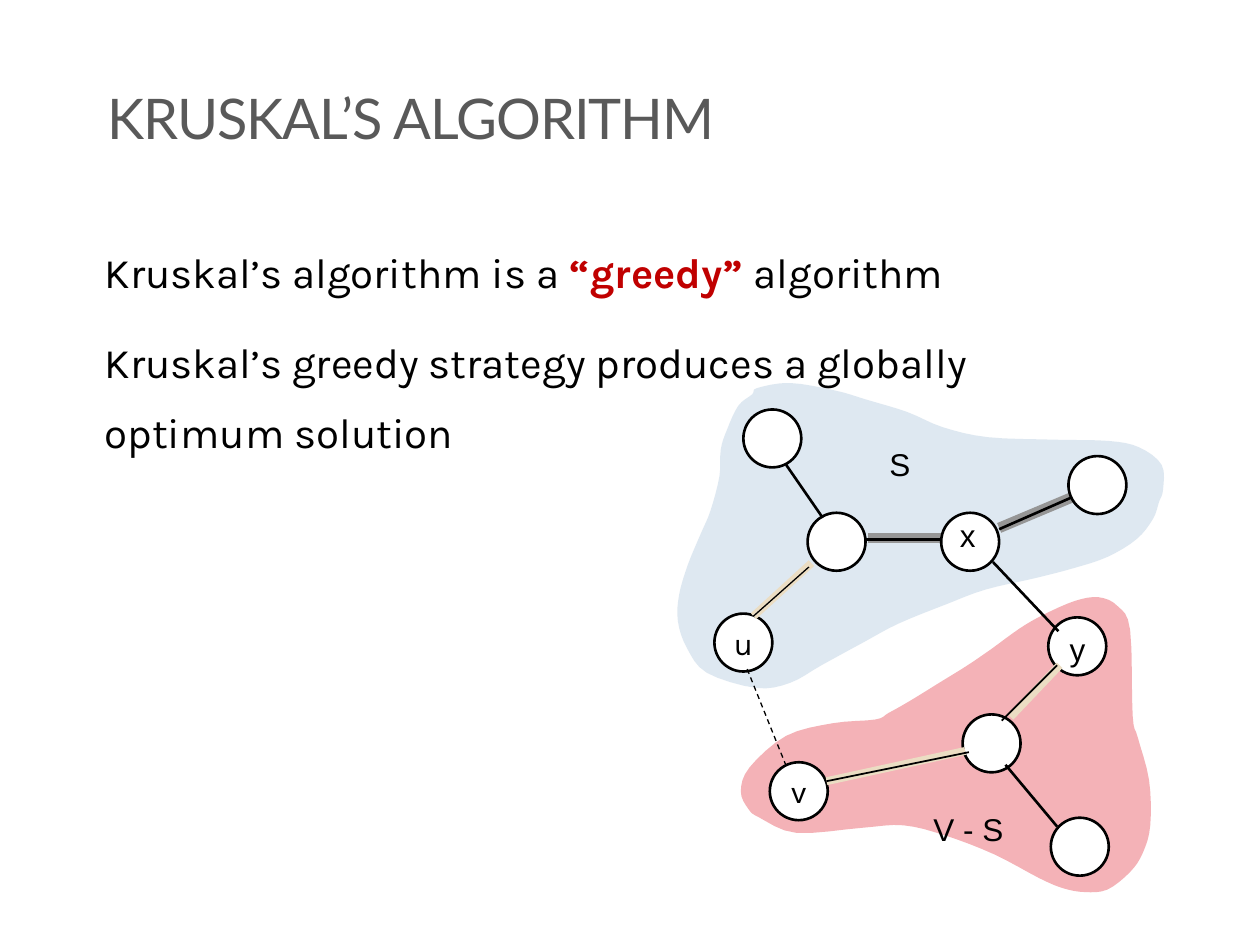
import pptx
import pptx.dml.color
import pptx.enum.dml
import pptx.enum.shapes
import pptx.enum.text
import pptx.oxml
import pptx.oxml.ns
import pptx.util
from pptx.util import Inches

RGBColor = pptx.dml.color.RGBColor
BLACK = RGBColor(0x00, 0x00, 0x00)
WHITE = RGBColor(0xFF, 0xFF, 0xFF)
TITLE_GRAY = RGBColor(0x59, 0x59, 0x59)
GREEDY_RED = RGBColor(0xC0, 0x00, 0x00)
SET_BLUE = RGBColor(0x94, 0xB6, 0xD2)
SET_RED = RGBColor(0xDD, 0x01, 0x11)
HALO_GRAY = RGBColor(0x96, 0x96, 0x96)
HALO_TAN = RGBColor(0xEB, 0xDD, 0xC3)

NODE_SIZE = 0.46
ALIGN = pptx.enum.text.PP_ALIGN
ANCHOR = pptx.enum.text.MSO_ANCHOR
AUTO_SIZE = pptx.enum.text.MSO_AUTO_SIZE

# All graph coordinates are inches from the corner of the graph's box.
REST_OUTLINE = [
    (1.95, 2.71), (1.61, 2.74), (1.24, 2.84), (0.95, 3.09), (0.88, 3.28),
    (0.94, 3.42), (1.03, 3.49), (1.32, 3.61), (1.84, 3.57), (2.17, 3.55),
    (2.5, 3.63), (2.89, 3.78), (3.25, 3.97), (3.44, 4.05), (3.61, 4.08),
    (3.79, 4.06), (3.97, 3.92), (4.07, 3.77), (4.13, 3.55), (4.12, 3.19),
    (4.03, 2.85), (3.99, 2.68), (3.97, 2), (3.87, 1.81), (3.72, 1.74),
    (3.53, 1.77), (3.28, 1.88), (3.09, 1.99), (2.87, 2.15), (2.68, 2.28),
    (2.47, 2.41), (2.21, 2.57), (2.05, 2.66),
]
S_OUTLINE = [
    (0.97, 0.13), (0.86, 0.22), (0.77, 0.41), (0.72, 0.57), (0.71, 0.78),
    (0.64, 1.05), (0.56, 1.24), (0.46, 1.48), (0.39, 1.72), (0.38, 1.93),
    (0.45, 2.14), (0.61, 2.34), (1, 2.46), (1.27, 2.42), (1.52, 2.28),
    (1.85, 2.1), (2.13, 1.95), (2.5, 1.8), (2.82, 1.68), (3.21, 1.59),
    (3.52, 1.51), (3.79, 1.42), (4.02, 1.28), (4.15, 1.12), (4.2, 0.98),
    (4.23, 0.89), (4.22, 0.69), (4.04, 0.55), (3.8, 0.5), (3.38, 0.49),
    (2.84, 0.47), (2.48, 0.39), (2.2, 0.27), (1.87, 0.17), (1.63, 0.1),
    (1.27, 0.04), (1.01, 0.08),
]
NODES = [
    (0.9, 0.25, ""), (1.41, 1.07, ""), (2.47, 1.07, ""), (3.48, 0.62, ""),
    (0.67, 1.87, "u"), (3.32, 1.9, ""), (2.64, 2.67, ""), (1.11, 3.05, "v"),
    (3.34, 3.49, ""),
]
# Each edge: start, end, colour, width in points.
HALO_EDGES = [
    ((1.89, 1.27), (2.47, 1.27), HALO_GRAY, 6),
    ((2.93, 1.19), (3.5, 0.95), HALO_GRAY, 6),
]
EDGES = [
    ((1.87, 1.28), (2.47, 1.28), BLACK, 1.5),
    ((1.24, 0.69), (1.53, 1.11), BLACK, 1.5),
    ((2.93, 1.2), (3.5, 0.95), BLACK, 1.5),
    ((2.88, 1.46), (3.4, 2.01), BLACK, 1.5),
    ((2.98, 3.07), (3.39, 3.56), BLACK, 1.5),
    ((1.56, 3.2), (2.66, 2.96), HALO_TAN, 4.5),
    ((3.02, 2.69), (3.41, 2.28), HALO_TAN, 4.5),
    ((1.44, 1.47), (0.98, 1.89), HALO_TAN, 4.5),
    ((0.98, 1.89), (1.42, 1.5), BLACK, 0.75),
    ((1.56, 3.2), (2.69, 2.97), BLACK, 1),
    ((3.39, 2.28), (2.95, 2.72), BLACK, 1),
]
LABELS = [
    (1.96, 0.48, 0.37, "S"), (2.31, 3.38, 0.76, "V - S"),
    (2.52, 1.05, 0.33, "x"), (3.39, 1.95, 0.33, "y"),
]


def style_font(font, name, size, color):
    font.name = name
    font.size = pptx.util.Pt(size)
    font.color.rgb = color


def place(shape, left, top, width, height):
    shape.left, shape.top = left, top
    shape.width, shape.height = width, height


def add_title(slide, left, top, width, height):
    title = slide.shapes.title
    place(title, left, top, width, height)
    text_frame = title.text_frame
    text_frame.text = "KRUSKAL’S ALGORITHM"
    text_frame.vertical_anchor = ANCHOR.BOTTOM
    text_frame.auto_size = AUTO_SIZE.NONE
    paragraph = text_frame.paragraphs[0]
    paragraph.alignment = ALIGN.LEFT
    run = paragraph.runs[0]
    style_font(run.font, "Lato", 32, TITLE_GRAY)
    run.font._element.set("spc", "-60")


def add_body(slide, left, top, width, height):
    body = slide.placeholders[1]
    place(body, left, top, width, height)
    text_frame = body.text_frame
    text_frame.auto_size = AUTO_SIZE.NONE
    statements = [
        ["Kruskal’s algorithm is a ", "“greedy” ", "algorithm"],
        ["Kruskal’s greedy strategy produces a globally optimum solution"],
    ]
    for index, parts in enumerate(statements):
        paragraph = text_frame.add_paragraph() if index else text_frame.paragraphs[0]
        properties = paragraph._p.get_or_add_pPr()
        properties.set("marL", "0")
        properties.set("indent", "0")
        properties.append(pptx.oxml.parse_xml(
            f"<a:buNone {pptx.oxml.ns.nsdecls('a')}/>"))
        paragraph.line_spacing = 1.4
        paragraph.space_before = pptx.util.Pt(4.8 if index else 0)
        paragraph.space_after = pptx.util.Pt(6)
        for part in parts:
            run = paragraph.add_run()
            run.text = part
            greedy = part.startswith("“")
            style_font(run.font, "Karla", 24, GREEDY_RED if greedy else BLACK)
            run.font.bold = greedy


def smooth_outline(points, steps=4):
    """Return points of a closed Catmull-Rom curve through the given points."""
    curve = []
    for index in range(len(points)):
        corners = [points[(index + shift) % len(points)] for shift in (-1, 0, 1, 2)]
        for step in range(steps):
            t = step / steps
            curve.append(tuple(
                b + 0.5 * t * (c - a + t * (2 * a - 5 * b + 4 * c - d
                                            + t * (3 * (b - c) + d - a)))
                for a, b, c, d in zip(*corners)))
    return curve


def add_region(slide, left, top, outline, color):
    points = [(left + Inches(x), top + Inches(y)) for x, y in smooth_outline(outline)]
    builder = slide.shapes.build_freeform(*points[0])
    builder.add_line_segments(points[1:], close=True)
    region = builder.convert_to_shape()
    region.shadow.inherit = False
    region.fill.solid()
    region.fill.fore_color.rgb = color
    region.line.fill.background()
    color_element = region._element.spPr.find(".//" + pptx.oxml.ns.qn("a:srgbClr"))
    color_element.append(pptx.oxml.parse_xml(
        f'<a:alpha {pptx.oxml.ns.nsdecls("a")} val="30000"/>'))


def add_node(slide, left, top, name):
    node = slide.shapes.add_shape(pptx.enum.shapes.MSO_SHAPE.OVAL, left, top,
                                  Inches(NODE_SIZE), Inches(NODE_SIZE))
    node.shadow.inherit = False
    node.fill.solid()
    node.fill.fore_color.rgb = WHITE
    node.line.color.rgb = BLACK
    node.line.width = pptx.util.Pt(1.5)
    if name:
        text_frame = node.text_frame
        text_frame.text = name
        text_frame.word_wrap = False
        text_frame.vertical_anchor = ANCHOR.MIDDLE
        text_frame.paragraphs[0].alignment = ALIGN.CENTER
        style_font(text_frame.paragraphs[0].runs[0].font, "Karla", 18, BLACK)


def add_edge(slide, left, top, start, end, color, width, dash=None):
    edge = slide.shapes.add_connector(
        pptx.enum.shapes.MSO_CONNECTOR.STRAIGHT,
        left + Inches(start[0]), top + Inches(start[1]),
        left + Inches(end[0]), top + Inches(end[1]))
    edge.line.color.rgb = color
    edge.line.width = pptx.util.Pt(width)
    if dash:
        edge.line.dash_style = dash
    edge._element.spPr.append(pptx.oxml.parse_xml(
        f"<a:effectLst {pptx.oxml.ns.nsdecls('a')}/>"))


def add_label(slide, left, top, width, text):
    text_frame = slide.shapes.add_textbox(left, top, width, Inches(0.4)).text_frame
    text_frame.text = text
    text_frame.word_wrap = False
    text_frame.auto_size = AUTO_SIZE.SHAPE_TO_FIT_TEXT
    style_font(text_frame.paragraphs[0].runs[0].font, "Arial", 18, BLACK)


def add_graph(slide, left, top):
    add_region(slide, left, top, REST_OUTLINE, SET_RED)
    add_region(slide, left, top, S_OUTLINE, SET_BLUE)
    for edge in HALO_EDGES:
        add_edge(slide, left, top, *edge)
    for x, y, name in NODES:
        add_node(slide, left + Inches(x), top + Inches(y), name)
    for edge in EDGES:
        add_edge(slide, left, top, *edge)
    add_edge(slide, left, top, (0.93, 2.31), (1.24, 3.08), BLACK, 0.75,
             pptx.enum.dml.MSO_LINE.DASH)
    for x, y, width, text in LABELS:
        add_label(slide, left + Inches(x), top + Inches(y), Inches(width), text)


def main():
    presentation = pptx.Presentation()
    presentation.slide_width, presentation.slide_height = Inches(10), Inches(7.5)
    slide = presentation.slides.add_slide(presentation.slide_layouts[1])
    add_title(slide, Inches(0.75), Inches(0.33), Inches(8.33), Inches(0.92))
    add_body(slide, Inches(0.73), Inches(1.75), Inches(8.33), Inches(4.78))
    add_graph(slide, Inches(5), Inches(3))
    presentation.save("out.pptx")


if __name__ == "__main__":
    main()
